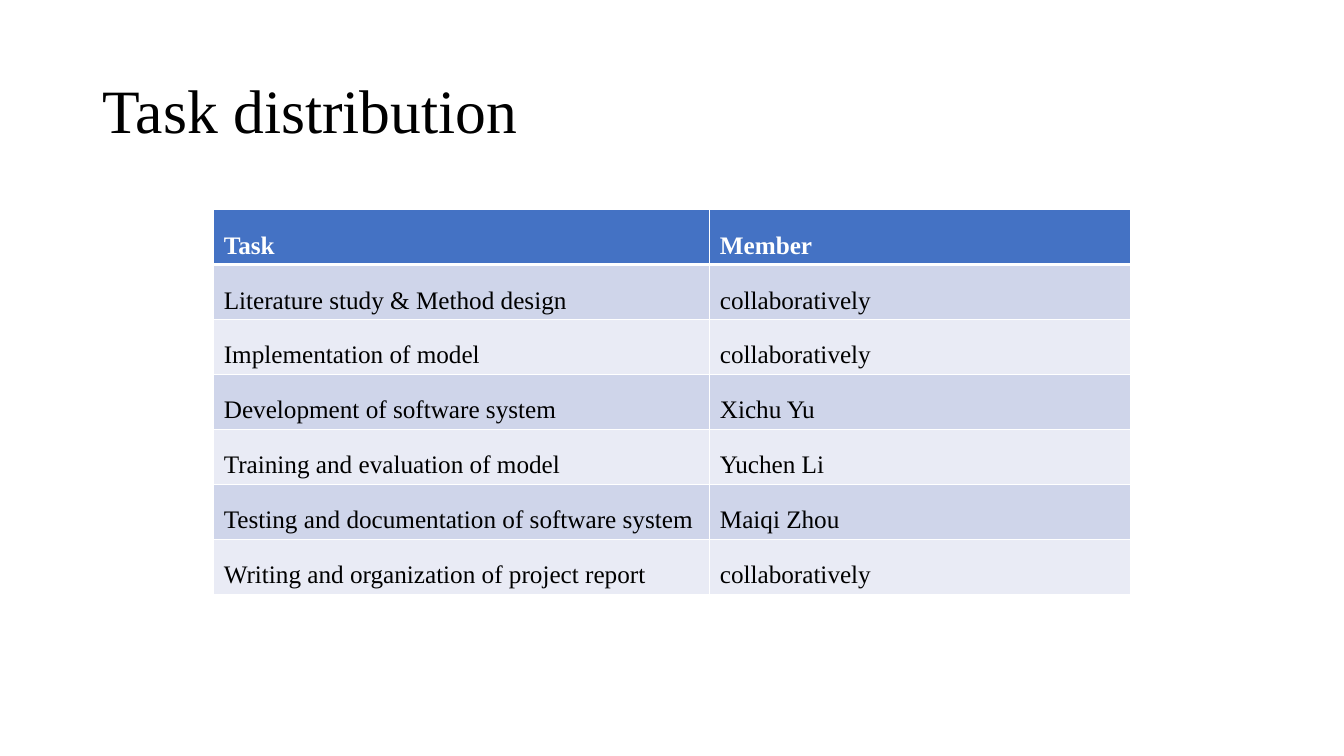
from dataclasses import dataclass

from lxml.etree import SubElement
from pptx import Presentation
from pptx.dml.color import RGBColor
from pptx.enum.text import MSO_ANCHOR as Anchor
from pptx.oxml.ns import qn
from pptx.util import Emu, Pt

EMU_PER_PX = 9144
FONT_NAME = "Times New Roman"
WHITE, BLACK = "FFFFFF", "000000"
HEADER_FILL = "4472C4"
BAND_FILLS = ("E9EBF5", "CFD5EA")

ROW_HEIGHT = 54.5
COLUMN_WIDTHS = (492, 417)


@dataclass(frozen=True)
class Assignment:
    task: str
    member: str


ASSIGNMENTS = (
    Assignment("Task", "Member"),
    Assignment("Literature study & Method design", "collaboratively"),
    Assignment("Implementation of model", "collaboratively"),
    Assignment("Development of software system", "Xichu Yu"),
    Assignment("Training and evaluation of model", "Yuchen Li"),
    Assignment("Testing and documentation of software system", "Maiqi Zhou"),
    Assignment("Writing and organization of project report", "collaboratively"),
)


def px(length: float) -> Emu:
    return Emu(round(length * EMU_PER_PX))


def color(hex_code: str) -> RGBColor:
    return RGBColor.from_string(hex_code)


def write_text(frame, text: str, ink: str, **font_format) -> None:
    para = frame.paragraphs[0]
    span = para.add_run()
    span.text = text
    span.font.color.rgb = color(ink)
    for name, value in {"name": FONT_NAME, **font_format}.items():
        setattr(span.font, name, value)


def add_title(page, text: str) -> None:
    box = page.shapes.add_textbox(px(92), px(40), px(1150), px(145))
    frame = box.text_frame
    for name, value in {"word_wrap": True, "vertical_anchor": Anchor.MIDDLE}.items():
        setattr(frame, name, value)
    frame.paragraphs[0].line_spacing = 0.9
    write_text(frame, text, BLACK, size=Pt(44))


def set_borders(cell, widths: dict[str, int]) -> None:
    """Draw white cell edges; widths maps L, R, T and B, in that order, to points."""
    properties = cell._tc.get_or_add_tcPr()
    for side, width in widths.items():
        line = SubElement(properties, qn(f"a:ln{side}"), w=str(Pt(width)))
        fill = SubElement(line, qn("a:solidFill"))
        SubElement(fill, qn("a:srgbClr"), val=WHITE)


def fill_cell(cell, text: str, row: int) -> None:
    is_header = row == 0
    below_header = row == 1
    set_borders(cell, {"L": 1, "R": 1, "T": 3 if below_header else 1, "B": 3 if is_header else 1})
    cell.fill.solid()
    cell.fill.fore_color.rgb = color(HEADER_FILL if is_header else BAND_FILLS[row % 2])
    cell.vertical_anchor = Anchor.BOTTOM
    write_text(cell.text_frame, text, WHITE if is_header else BLACK, size=Pt(18), bold=is_header)


def add_assignment_table(page, assignments: tuple[Assignment, ...]) -> None:
    height = ROW_HEIGHT * len(assignments)
    table = page.shapes.add_table(
        len(assignments), len(COLUMN_WIDTHS), px(212), px(208), px(sum(COLUMN_WIDTHS)), px(height)
    ).table
    for column, width in zip(table.columns, COLUMN_WIDTHS):
        column.width = px(width)
    for row, assignment in enumerate(assignments):
        table.rows[row].height = px(ROW_HEIGHT)
        for column, text in enumerate((assignment.task, assignment.member)):
            fill_cell(table.cell(row, column), text, row)


def main() -> None:
    deck = Presentation()
    deck.slide_width, deck.slide_height = px(1333), px(750)
    page = deck.slides.add_slide(deck.slide_layouts[6])
    add_title(page, "Task distribution")
    add_assignment_table(page, ASSIGNMENTS)
    deck.save("out.pptx")


if __name__ == "__main__":
    main()
